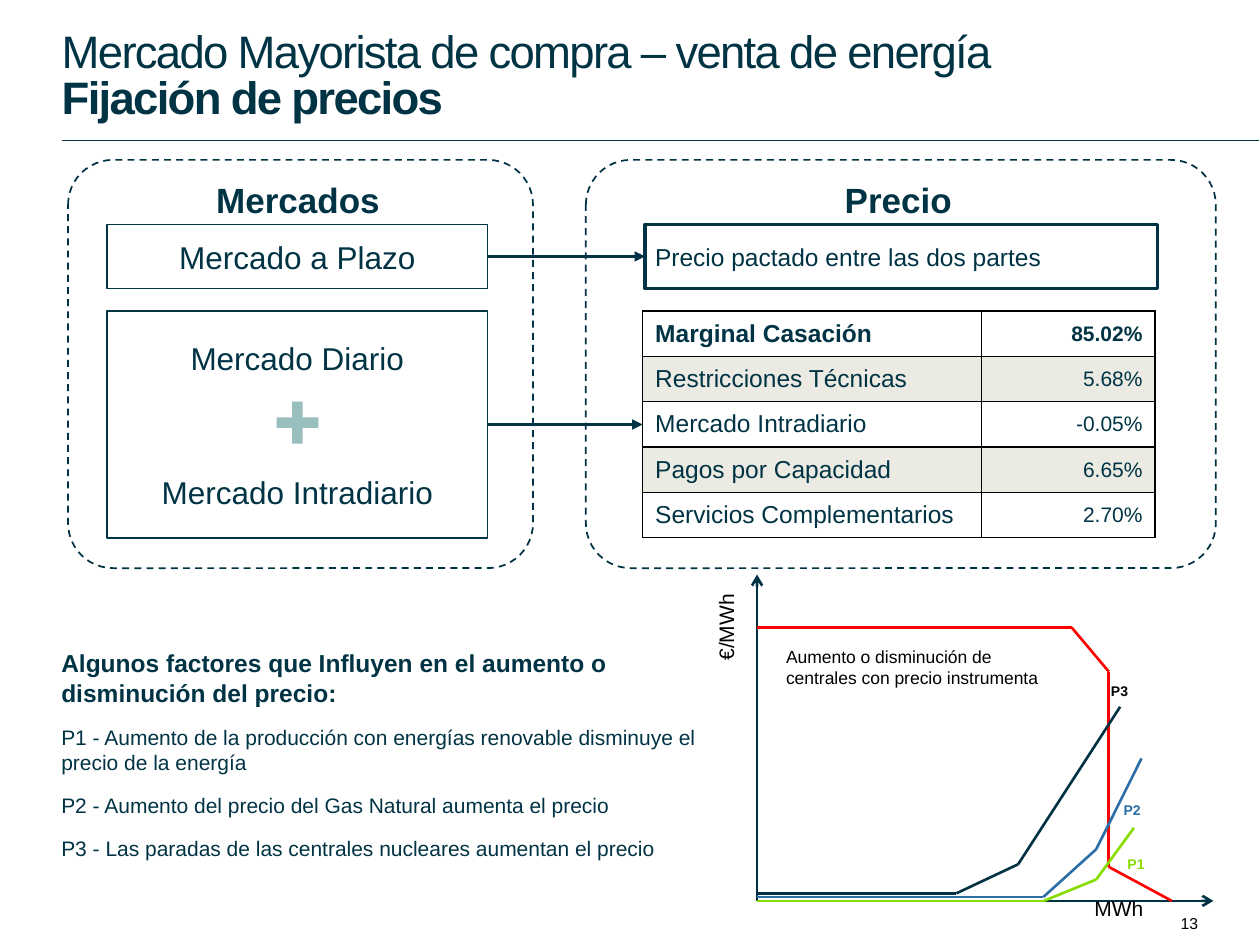
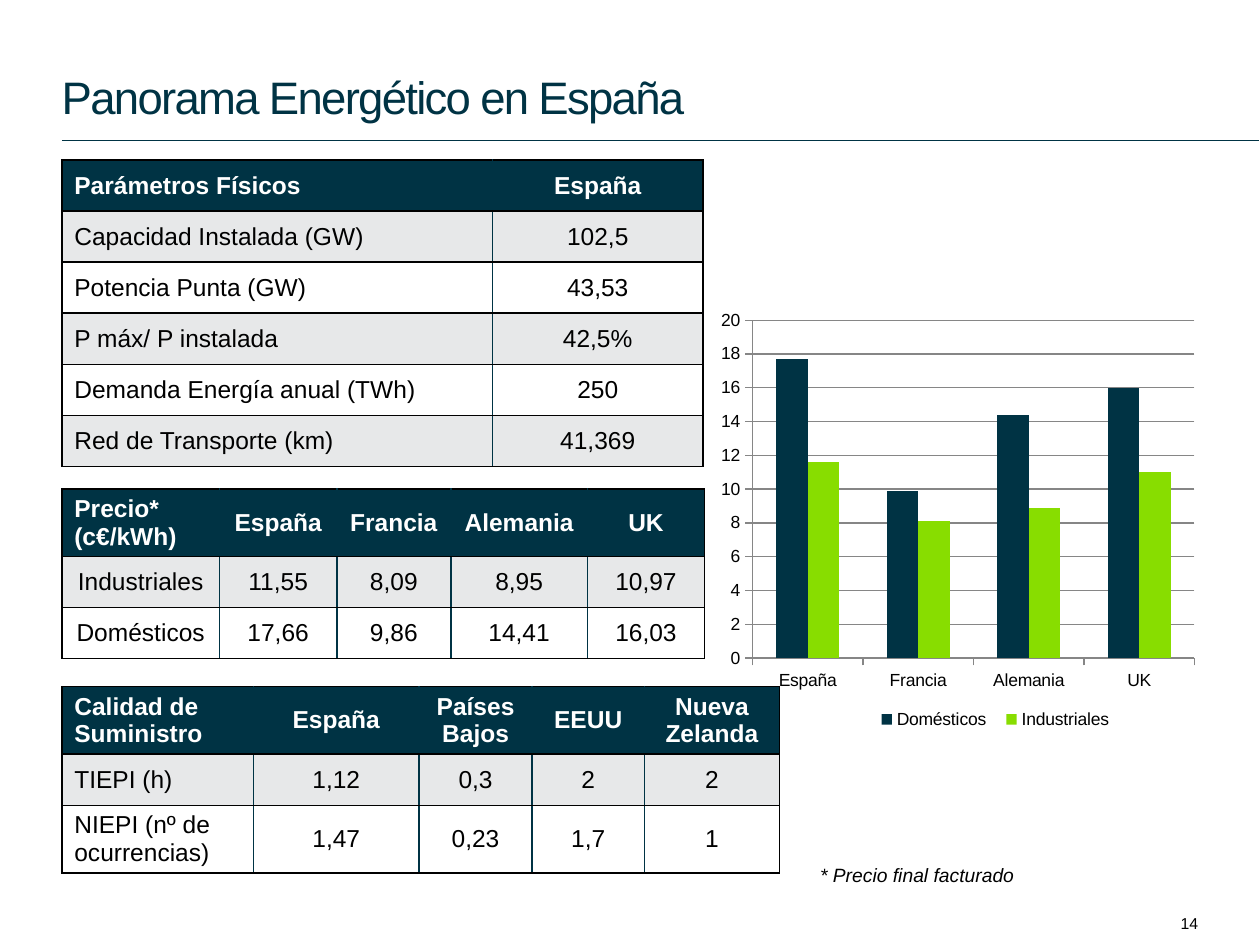
from dataclasses import dataclass
from itertools import pairwise

from lxml.etree import SubElement, fromstring
from pptx import Presentation
from pptx.chart.data import CategoryChartData
from pptx.dml.color import RGBColor
from pptx.enum.chart import XL_CHART_TYPE as ChartType, XL_LEGEND_POSITION as LegendPos, XL_TICK_MARK as Tick
from pptx.enum.dml import MSO_LINE as Dash
from pptx.enum.shapes import MSO_CONNECTOR as Connector, MSO_SHAPE as Shape
from pptx.enum.text import MSO_ANCHOR as Anchor, PP_ALIGN as Align
from pptx.oxml.ns import nsdecls, qn
from pptx.util import Pt


@dataclass(frozen=True)
class Theme:
    font: str = "Arial"
    ink: str = "003344"
    axis: str = "003243"
    black: str = "000000"
    white: str = "FFFFFF"
    lime: str = "88DD00"
    blue: str = "2C6FA6"
    red: str = "FF0000"
    plus: str = "99BEBE"
    sand_band: str = "EBEBE4"
    grey_band: str = "E7E8E9"
    grid: str = "868686"
    title: float = 26
    heading: float = 20
    market: float = 18
    body: float = 14
    detail: float = 12
    footnote: float = 11
    small: float = 10
    number: float = 9
    curve: float = 8


T = Theme()
ALIGN = {"l": Align.LEFT, "c": Align.CENTER, "r": Align.RIGHT}
DEFAULT_INSETS = (7.2, 3.6, 7.2, 3.6)
BOX_INSETS = (5.76, 3.6, 5.76, 3.6)
PANEL_INSETS = (0, 2.88, 2.88, 0)

# ---- Content: price setting ----
PRICING_TITLE = [("Mercado Mayorista de compra – venta de energía\n", False), ("Fijación de precios", True)]
PANELS = [("Mercados", (38.9, 91.4, 265.7, 233.3)), ("Precio", (334.8, 91.4, 360, 233.3))]
TERM_MARKET = "Mercado a Plazo"
SPOT_MARKETS = ["Mercado Diario", "Mercado Intradiario"]
AGREED_PRICE = "Precio pactado entre las dos partes"
PRICE_PARTS = dict(
    at=(367.2, 177.8), cols=(193.7, 99.2), rows=[25.9] * 5, head_align="lr", body_align="lr",
    cells=[
        ("Marginal Casación", "85.02%"),
        ("Restricciones Técnicas", "5.68%"),
        ("Mercado Intradiario", "-0.05%"),
        ("Pagos por Capacidad", "6.65%"),
        ("Servicios Complementarios", "2.70%"),
    ],
    head=(T.white, T.ink), band=T.sand_band, body=T.ink, inner=T.black, sizes=(T.body, T.detail))
FACTORS_HEADING = "Algunos factores que Influyen en el aumento o disminución del precio:"
FACTORS = [
    "P1 - Aumento de la producción con energías renovable disminuye el precio de la energía",
    "P2 - Aumento del precio del Gas Natural aumenta el precio",
    "P3 - Las paradas de las centrales nucleares aumentan el precio",
]
ORIGIN = (432.6, 514.8)
AXIS_ENDS = [(432.6, 328.3), (693.4, 514.8)]
AXIS_UNITS = [("€/MWh", (388.3, 344.1), 270), ("MWh", (609.4, 508), 0)]
CURVES = [
    (T.red, [(432.6, 358.6), (612.4, 358.6), (633.6, 383.8), (633.6, 495.4), (669.6, 514.8)]),
    (T.lime, [(432.6, 514.8), (596.6, 514.8), (626.4, 502.6), (648, 473)]),
    (T.blue, [(432.6, 512.6), (596.2, 512.6), (626.4, 485.3), (652.3, 433.4)]),
    (T.axis, [(432.6, 510.5), (546.5, 510.5), (581.8, 493.9), (640.1, 403.9)]),
]
CURVE_LABELS = [("P1", T.lime, (637.2, 485.3)), ("P2", T.blue, (635, 454.3)), ("P3", T.black, (627.8, 386.6))]
CURVE_NOTE = "Aumento o disminución de centrales con precio instrumenta"

# ---- Content: energy overview ----
OVERVIEW_TITLE = [("Panorama Energético en España", False)]
NAVY_HEAD = dict(head=(T.ink, T.white), band=T.grey_band, body=T.black, inner=T.ink, sizes=(T.body, T.body))
ROW, TALL_ROW = 29.2, 38.6
OVERVIEW_TABLES = [
    dict(at=(35.3, 91.4), cols=(246.2, 120.2), rows=[ROW] * 6, head_align="lc", body_align="lc",
         cells=[
             ("Parámetros Físicos", "España"),
             ("Capacidad Instalada (GW)", "102,5"),
             ("Potencia Punta (GW)", "43,53"),
             ("P máx/ P instalada", "42,5%"),
             ("Demanda Energía anual (TWh)", "250"),
             ("Red de Transporte (km)", "41,369"),
         ], **NAVY_HEAD),
    dict(at=(35.3, 279.4), cols=(90.2, 67, 65.2, 78, 67), rows=[TALL_ROW, ROW, ROW],
         head_align="lcccc", body_align="ccccc",
         cells=[
             ("Precio*\n(c€/kWh)", "España", "Francia", "Alemania", "UK"),
             ("Industriales", "11,55", "8,09", "8,95", "10,97"),
             ("Domésticos", "17,66", "9,86", "14,41", "16,03"),
         ], **NAVY_HEAD),
    dict(at=(35.3, 392.4), cols=(109.6, 94.6, 64.6, 64.2, 77.2), rows=[TALL_ROW, ROW, TALL_ROW],
         head_align="lcccc", body_align="lcccc",
         cells=[
             ("Calidad de Suministro", "España", "Países Bajos", "EEUU", "Nueva Zelanda"),
             ("TIEPI (h)", "1,12", "0,3", "2", "2"),
             ("NIEPI (nº de ocurrencias)", "1,47", "0,23", "1,7", "1"),
         ], **NAVY_HEAD),
]
COUNTRIES = ["España", "Francia", "Alemania", "UK"]
PRICES = [("Domésticos", T.ink, (17.7, 9.9, 14.4, 16)), ("Industriales", T.lime, (11.6, 8.1, 8.9, 11))]
PRICE_NOTE = "* Precio final facturado"


# ---- Text ----
def rgb(colour):
    return RGBColor.from_string(colour)


def add_text(paragraph, text, size, colour=T.ink, bold=False, italic=False, tracking=None):
    for i, line in enumerate(text.split("\n")):
        if i:
            paragraph.add_line_break()
        if not line:
            continue
        run = paragraph.add_run()
        run.text = line
        font = run.font
        font.name, font.size, font.bold, font.italic = T.font, Pt(size), bold, italic
        font.color.rgb = rgb(colour)
        if tracking:
            run._r.get_or_add_rPr().set("spc", str(tracking))


def first_paragraph(frame, align="l", anchor=Anchor.TOP, insets=DEFAULT_INSETS, wrap=True):
    frame.word_wrap, frame.vertical_anchor = wrap, anchor
    frame.margin_left, frame.margin_top, frame.margin_right, frame.margin_bottom = map(Pt, insets)
    frame.paragraphs[0].alignment = ALIGN[align]
    return frame.paragraphs[0]


def add_label(slide, text, box, size, colour=T.black, bold=False, italic=False, **layout):
    label = slide.shapes.add_textbox(*map(Pt, box))
    add_text(first_paragraph(label.text_frame, **layout), text, size, colour, bold, italic)
    return label


# ---- Shapes and lines ----
def add_box(slide, kind, box, fill=T.white, line_width=None):
    shape = slide.shapes.add_shape(kind, *map(Pt, box))
    shape.shadow.inherit = False
    shape.fill.solid()
    shape.fill.fore_color.rgb = rgb(fill)
    if line_width:
        shape.line.color.rgb, shape.line.width = rgb(T.ink), Pt(line_width)
    else:
        shape.line.fill.background()
    if kind == Shape.ROUNDED_RECTANGLE:
        shape.adjustments[0] = 0.11
    return shape


def add_line(slide, start, end, colour=T.ink, width=1.5, head=None):
    line = slide.shapes.add_connector(Connector.STRAIGHT, *map(Pt, (*start, *end)))
    line.line.color.rgb, line.line.width = rgb(colour), Pt(width)
    if head:
        SubElement(line.line._get_or_add_ln(), qn("a:tailEnd"), type=head)
    SubElement(line._element.spPr, qn("a:effectLst"))
    return line


# ---- Tables ----
def set_borders(cell, sides):
    for i, (side, colour) in enumerate(sides.items()):
        cell._tc.get_or_add_tcPr().insert(i, fromstring(
            f'<a:{side} {nsdecls("a")} w="{Pt(1)}"><a:solidFill><a:srgbClr val="{colour}"/></a:solidFill></a:{side}>'))


def add_grid(slide, spec):
    cells, cols, rows = spec["cells"], spec["cols"], spec["rows"]
    box = (*spec["at"], sum(cols), sum(rows))
    table = slide.shapes.add_table(len(rows), len(cols), *map(Pt, box)).table
    table.first_row = table.horz_banding = False
    for column, width in zip(table.columns, cols):
        column.width = Pt(width)
    for r, (row, height) in enumerate(zip(table.rows, rows)):
        row.height = Pt(height)
        head_fill, head_colour = spec["head"]
        fill = spec["band"] if r % 2 else T.white if r else head_fill
        aligns = spec["body_align"] if r else spec["head_align"]
        for c, cell in enumerate(row.cells):
            cell.vertical_anchor = Anchor.MIDDLE
            cell.margin_top = cell.margin_bottom = Pt(2)
            cell.fill.solid()
            cell.fill.fore_color.rgb = rgb(fill)
            paragraph = cell.text_frame.paragraphs[0]
            paragraph.alignment = ALIGN[aligns[c]]
            add_text(paragraph, cells[r][c], spec["sizes"][min(c, 1)],
                     spec["body"] if r else head_colour, bold=not r)
            set_borders(cell, {
                "lnL": spec["inner"] if c else T.black,
                "lnR": spec["inner"] if c < len(cols) - 1 else T.black,
                "lnT": T.black,
                "lnB": T.black,
            })


# ---- Shared slide frame ----
def add_slide(deck, title, number):
    slide = deck.slides.add_slide(deck.slide_layouts[6])
    add_line(slide, (35.3, 80.2), (719.3, 80.2), width=0.75)
    heading = slide.shapes.add_textbox(*map(Pt, (35.3, 8.6, 648, 61.9)))
    paragraph = first_paragraph(heading.text_frame, anchor=Anchor.BOTTOM, insets=(0, 3.6, 7.2, 0))
    paragraph.line_spacing = Pt(26)
    for text, bold in title:
        add_text(paragraph, text, T.title, bold=bold, tracking=-100)
    add_label(slide, str(number), (642.2, 517.7, 42.5, 19.4), T.number,
              align="r", anchor=Anchor.MIDDLE, insets=(7.2, 3.6, 0, 3.6))
    return slide


# ---- Price setting ----
def add_market_flow(slide):
    for heading, box in PANELS:
        panel = add_box(slide, Shape.ROUNDED_RECTANGLE, box, line_width=1)
        panel.line.dash_style = Dash.DASH
        add_text(first_paragraph(panel.text_frame, "c", insets=PANEL_INSETS), heading, T.heading, bold=True)

    term = add_box(slide, Shape.RECTANGLE, (61.2, 128.2, 217.4, 36.7), line_width=1)
    add_text(first_paragraph(term.text_frame, "c", Anchor.MIDDLE, BOX_INSETS), TERM_MARKET, T.market)
    agreed = add_box(slide, Shape.RECTANGLE, (368.6, 128.2, 293, 36.7), line_width=2)
    add_text(first_paragraph(agreed.text_frame, "l", Anchor.MIDDLE, BOX_INSETS), AGREED_PRICE, T.body)

    spot = add_box(slide, Shape.RECTANGLE, (61.2, 177.8, 217.4, 129.6), line_width=1)
    add_text(first_paragraph(spot.text_frame, "c", Anchor.MIDDLE, BOX_INSETS), SPOT_MARKETS[0], T.market)
    intraday = spot.text_frame.add_paragraph()
    intraday.alignment, intraday.space_before = Align.CENTER, Pt(55)
    add_text(intraday, SPOT_MARKETS[1], T.market)
    for width, height in [(6, 24), (24, 6)]:
        add_box(slide, Shape.RECTANGLE, (170 - width / 2, 241.5 - height / 2, width, height), T.plus)

    to_agreed = add_line(slide, (278.6, 146.5), (368.6, 146.5), T.axis, head="triangle")
    to_agreed.begin_connect(term, 3)
    to_agreed.end_connect(agreed, 1)
    to_parts = add_line(slide, (278.6, 242.6), (367.2, 242.6), head="triangle")
    to_parts.begin_connect(spot, 3)
    add_grid(slide, PRICE_PARTS)


def add_factors(slide):
    box = add_box(slide, Shape.ROUNDED_RECTANGLE, (31, 363.6, 388.1, 124.6))
    add_text(first_paragraph(box.text_frame, insets=PANEL_INSETS), FACTORS_HEADING, T.body, bold=True)
    for factor in FACTORS:
        paragraph = box.text_frame.add_paragraph()
        paragraph.alignment, paragraph.space_before = Align.LEFT, Pt(10)
        add_text(paragraph, factor, T.detail)


def add_supply_curves(slide):
    add_label(slide, CURVE_NOTE, (442.1, 365.8, 158.4, 31.7), T.small)
    for end in AXIS_ENDS:
        add_line(slide, ORIGIN, end, T.axis, head="arrow")
    for colour, points in CURVES:
        for start, end in pairwise(points):
            add_line(slide, start, end, colour)
    for name, colour, place in CURVE_LABELS:
        add_label(slide, name, (*place, 24.5, 17.3), T.curve, colour, bold=True, wrap=False)
    for unit, place, turn in AXIS_UNITS:
        label = add_label(slide, unit, (*place, 60, 28.8), T.detail, align="c")
        label.rotation = turn


# ---- Energy overview ----
def place_part(element, index, x, y, w, h, inner=False):
    for old in element.findall(qn("c:layout")):
        element.remove(old)
    target = '<c:layoutTarget val="inner"/>' if inner else ""
    modes = '<c:xMode val="edge"/><c:yMode val="edge"/>'
    sizes = "".join(f'<c:{key} val="{value}"/>' for key, value in zip("xywh", (x, y, w, h)))
    element.insert(index, fromstring(
        f'<c:layout {nsdecls("c")}><c:manualLayout>{target}{modes}{sizes}</c:manualLayout></c:layout>'))


def add_price_chart(slide):
    data = CategoryChartData()
    data.categories = COUNTRIES
    for name, _, values in PRICES:
        data.add_series(name, values)
    chart = slide.shapes.add_chart(
        ChartType.COLUMN_CLUSTERED, *map(Pt, (408.2, 175.2, 311.8, 259.2)), data).chart
    chart.has_title = False
    chart.font.name, chart.font.size, chart.font.color.rgb = T.font, Pt(T.small), rgb(T.black)
    plot = chart.plots[0]
    plot.gap_width, plot.overlap, plot.vary_by_categories = 150, 0, False
    for series, (_, colour, _) in zip(plot.series, PRICES):
        series.format.fill.solid()
        series.format.fill.fore_color.rgb = rgb(colour)
    scale = chart.value_axis
    scale.minimum_scale, scale.maximum_scale, scale.major_unit = 0, 20, 2
    scale.has_major_gridlines = True
    for part in (scale, chart.category_axis, scale.major_gridlines):
        part.format.line.color.rgb, part.format.line.width = rgb(T.grid), Pt(0.75)
    for axis in (scale, chart.category_axis):
        axis.major_tick_mark = Tick.OUTSIDE
    chart.has_legend = True
    chart.legend.position, chart.legend.include_in_layout = LegendPos.BOTTOM, False
    place_part(chart.legend._element, 1, 0.28, 0.87, 0.47, 0.08)
    place_part(chart._chartSpace.chart.plotArea, 0, 0.07, 0.03, 0.81, 0.745, inner=True)


def main():
    deck = Presentation()
    deck.slide_width, deck.slide_height = Pt(720), Pt(540)

    pricing = add_slide(deck, PRICING_TITLE, 13)
    add_market_flow(pricing)
    add_factors(pricing)
    add_supply_curves(pricing)

    overview = add_slide(deck, OVERVIEW_TITLE, 14)
    for spec in OVERVIEW_TABLES:
        add_grid(overview, spec)
    add_price_chart(overview)
    add_label(overview, PRICE_NOTE, (461.5, 489.6, 221.8, 20.9), T.footnote, italic=True)

    deck.save("out.pptx")


if __name__ == "__main__":
    main()
